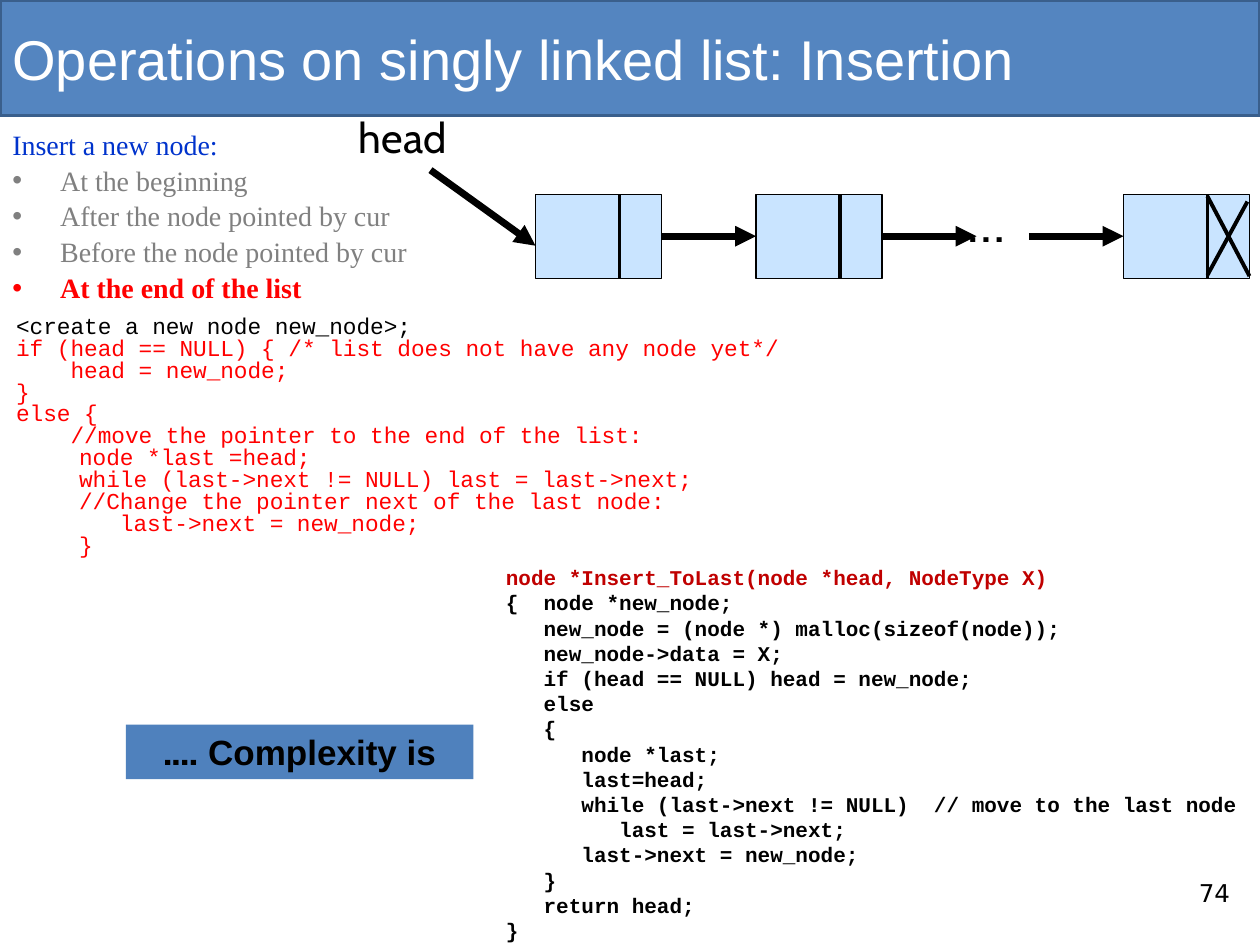
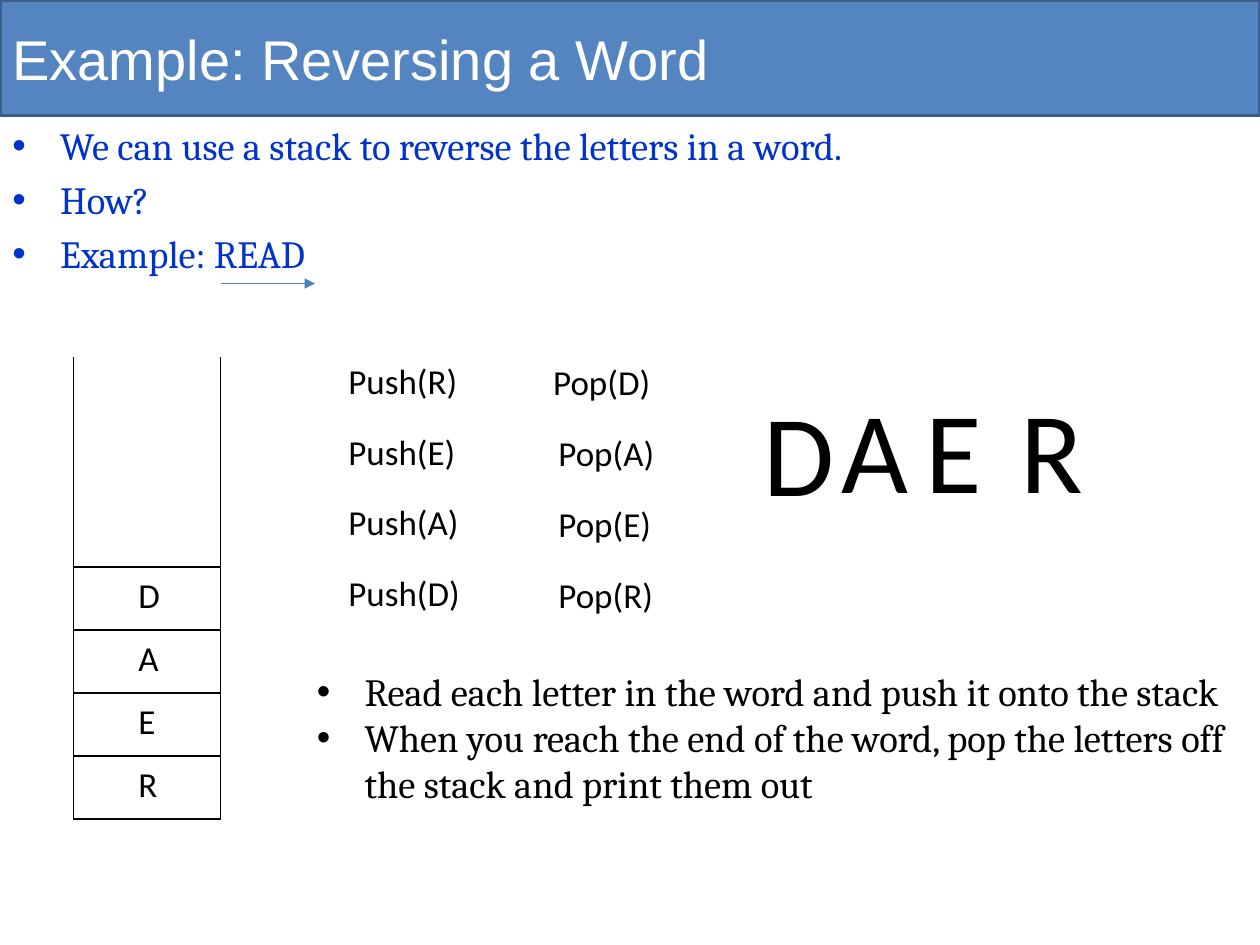
from dataclasses import dataclass, field, replace
from typing import NamedTuple

from lxml.etree import SubElement
from pptx import Presentation
from pptx.dml.color import RGBColor
from pptx.enum.shapes import MSO_CONNECTOR, MSO_SHAPE
from pptx.enum.text import MSO_ANCHOR, PP_ALIGN
from pptx.oxml.ns import qn
from pptx.util import Emu, Inches, Pt

# Grid: 120 columns by 90 rows of one twelfth of an inch
COLS, ROWS = 120, 90
CELL = Inches(1) // 12

BLACK, WHITE, RED = "000000", "FFFFFF", "FF0000"
BLUE, GREY, DEEP = "0033CC", "808080", "C00000"
BAND, EDGE, PALE, FILL, ARROW = "5485C0", "3A5F8C", "C9E4FF", "4F81BD", "4B7EBC"


class Box(NamedTuple):
    x: float
    y: float
    w: float
    h: float


class Line(NamedTuple):
    x: float
    y: float
    to_x: float
    to_y: float


@dataclass(frozen=True)
class Style:
    name: str
    size: float
    color: str = BLACK
    bold: bool = False
    bullet: bool = False
    indent: float = 0
    gap: float = 0
    form: dict = field(default_factory=dict)


@dataclass(frozen=True)
class Pen:
    color: str = BLACK
    width: float = 0.75
    arrow: bool = False


class Para(NamedTuple):
    text: str
    style: Style


def unit(cells: float) -> Emu:
    return Emu(round(cells * CELL))


def tint(code: str) -> RGBColor:
    return RGBColor.from_string(code)


def put(item, form: dict) -> None:
    for key, value in form.items():
        setattr(item, key, value)


def paras(text: str, style: Style) -> list[Para]:
    return [Para(row, style) for row in text.strip("\n").split("\n")]


# Text
def write(frame, rows: list[Para], anchor=MSO_ANCHOR.TOP) -> None:
    put(frame, {"word_wrap": True, "vertical_anchor": anchor})
    for i, (text, style) in enumerate(rows):
        par = frame.paragraphs[0] if i == 0 else frame.add_paragraph()
        props = par._p.get_or_add_pPr()
        if style.bullet:
            props.set("marL", str(Inches(0.38)))
            props.set("indent", str(-Inches(0.38)))
            SubElement(props, qn("a:buFont"), typeface="Arial")
            SubElement(props, qn("a:buChar"), char="•")
        elif style.indent:
            props.set("marL", str(Inches(style.indent)))
        base = {"alignment": PP_ALIGN.LEFT, "space_before": Pt(style.gap if i else 0)}
        put(par, base | style.form)
        run = par.add_run()
        run.text = text
        put(run.font, {"name": style.name, "size": Pt(style.size), "bold": style.bold})
        run.font.color.rgb = tint(style.color)


def note(slide, box: Box, rows: list[Para]) -> None:
    write(slide.shapes.add_textbox(*map(unit, box)).text_frame, rows)


# Shapes and lines
def block(slide, box: Box, fill: str, pen: Pen | None = None):
    shape = slide.shapes.add_shape(MSO_SHAPE.RECTANGLE, *map(unit, box))
    shape.shadow.inherit = False
    shape.fill.solid()
    shape.fill.fore_color.rgb = tint(fill)
    if pen:
        shape.line.color.rgb = tint(pen.color)
        shape.line.width = Pt(pen.width)
    else:
        shape.line.fill.background()
    return shape


def draw(slide, line: Line, pen: Pen, start=None, end=None) -> None:
    link = slide.shapes.add_connector(MSO_CONNECTOR.STRAIGHT, *map(unit, line))
    if start is not None:
        link.begin_connect(start, 3)
    if end is not None:
        link.end_connect(end, 1)
    link.line.color.rgb = tint(pen.color)
    link.line.width = Pt(pen.width)
    props = link._element.spPr
    if pen.arrow:
        SubElement(props.find(qn("a:ln")), qn("a:tailEnd"), type="triangle")
    SubElement(props, qn("a:effectLst"))


# Shared styles
TITLE = Style("Arial", 32, WHITE)
TIMES = Style("Times New Roman", 16, BLUE, gap=3.2, form={"line_spacing": 0.9})
POINT = replace(TIMES, color=GREY, bullet=True)
CODE = Style("Courier New", 13, RED, form={"line_spacing": 0.8})
INNER = replace(CODE, indent=0.5)
FUNC = Style("Courier New", 12, bold=True)
HEAD = Style("Cabin", 24)
CALC = Style("Arial", 20, bold=True, form={"alignment": PP_ALIGN.CENTER})
CALL = Style("Calibri", 20)
LARGE = replace(CALL, size=66)
SERIF = Style("Cambria", 22, bullet=True)

THIN, RULE, BOLD = Pen(), Pen(width=2.25), Pen(width=4, arrow=True)

STEPS = """
if (head == NULL) { /* list does not have any node yet*/
    head = new_node;
}
else {
    //move the pointer to the end of the list:
"""
LOOP = """
node *last =head;
while (last->next != NULL) last = last->next;
//Change the pointer next of the last node:
   last->next = new_node;
}
"""
BODY = """
{  node *new_node;
   new_node = (node *) malloc(sizeof(node));
   new_node->data = X;
   if (head == NULL) head = new_node;
   else
   {
      node *last;
      last=head;
      while (last->next != NULL)  // move to the last node
         last = last->next;
      last->next = new_node;
   }
   return head;
}
"""


def page(deck, title: str):
    slide = deck.slides.add_slide(deck.slide_layouts[6])
    band = block(slide, Box(0, 0, COLS, 11), BAND, Pen(EDGE, 2))
    write(band.text_frame, [Para(title, TITLE)], MSO_ANCHOR.MIDDLE)
    return slide


def chain(slide) -> None:
    """Linked list of three nodes."""
    top, wide, tall, split = 18.5, 12, 8, 8
    mid, base = top + tall / 2, top + tall
    cols = (51, 72, 107)
    first, second, last = [
        block(slide, Box(x, top, wide, tall), PALE, THIN) for x in cols
    ]
    for x in cols:
        draw(slide, Line(x + split, top, x + split, base), RULE)
    draw(slide, Line(63, mid, 72, mid), BOLD, first, second)
    draw(slide, Line(84, mid, 93, mid), BOLD, second)
    draw(slide, Line(98, mid, 107, mid), BOLD, end=last)
    draw(slide, Line(41, 16.2, 51, 23.4), BOLD)
    # Cross for the empty pointer
    draw(slide, Line(118.8, 19.2, 115, 26.2), RULE)
    draw(slide, Line(115, 18.7, 119, 26.3), RULE)
    note(slide, Box(33, 10, 18, 6), [Para("head", HEAD)])
    note(slide, Box(91, 17.2, 14, 7.5), [Para("…", replace(HEAD, size=32))])


def insert(deck) -> None:
    slide = page(deck, "Operations on singly linked list: Insertion")
    places = "At the beginning\nAfter the node pointed by cur\nBefore the node pointed by cur"
    end = replace(POINT, color=RED, bold=True)
    note(slide, Box(0, 11.9, 119, 20), [
        Para("Insert a new node:", TIMES),
        *paras(places, POINT),
        Para("At the end of the list", end),
    ])
    make = Para("<create a new node new_node>;", replace(CODE, color=BLACK))
    note(slide, Box(0.36, 29.6, 107, 24.5),
         [make, *paras(STEPS, CODE), *paras(LOOP, INNER)])
    chain(slide)
    sign = Para("node *Insert_ToLast(node *head, NodeType X)", replace(FUNC, color=DEEP))
    note(slide, Box(47, 53.2, 75, 37.5), [sign, *paras(BODY, FUNC)])
    # Right-to-left question
    ask = block(slide, Box(12, 69, 33.1, 5.2), FILL).text_frame
    write(ask, [Para("Complexity is ….", CALC)], MSO_ANCHOR.MIDDLE)
    ask.paragraphs[0]._p.get_or_add_pPr().set("rtl", "1")
    note(slide, Box(113, 83, 6, 5), [Para("74", Style("DejaVu Sans", 14))])


def stack(slide, word: str) -> None:
    left, right, top, base, step = 7, 21, 34, 78, 6
    for x in (left, right):
        draw(slide, Line(x, top, x, base), THIN)
    for i in range(len(word) + 1):
        y = base - i * step
        draw(slide, Line(left, y, right, y), THIN)
    for i, letter in enumerate(word, 1):
        note(slide, Box(12, base - i * step, 6, 5.3), [Para(letter, CALL)])


def turn(deck) -> None:
    slide = page(deck, "Example: Reversing a Word")
    word = "READ"
    intro = f"We can use a stack to reverse the letters in a word.\nHow?\nExample: {word}"
    note(slide, Box(0, 11, COLS, 12), paras(intro, replace(SERIF, color=BLUE, gap=4.6)))
    draw(slide, Line(21, 27, 30, 27), Pen(ARROW, arrow=True))
    stack(slide, word)
    # Calls and the word they print
    for i, letter in enumerate(word):
        note(slide, Box(32, 33.65 + 6.72 * i, 17, 5.3), [Para(f"Push({letter})", CALL)])
    for i, (letter, x) in enumerate(zip(reversed(word), (71.5, 79, 87, 96))):
        shift = 0 if i else 0.5
        note(slide, Box(52 - shift, 33.75 + 6.75 * i, 17, 5.3),
             [Para(f"Pop({letter})", CALL)])
        note(slide, Box(x, 35.4 + shift / 2, 11, 14.5), [Para(letter, LARGE)])
    steps = ("Read each letter in the word and push it onto the stack\n"
             "When you reach the end of the word, pop the letters off the stack "
             "and print them out")
    note(slide, Box(29, 63, 90, 14.5), paras(steps, SERIF))


def main() -> None:
    deck = Presentation()
    put(deck, {"slide_width": unit(COLS), "slide_height": unit(ROWS)})
    insert(deck)
    turn(deck)
    deck.save("out.pptx")


if __name__ == "__main__":
    main()
